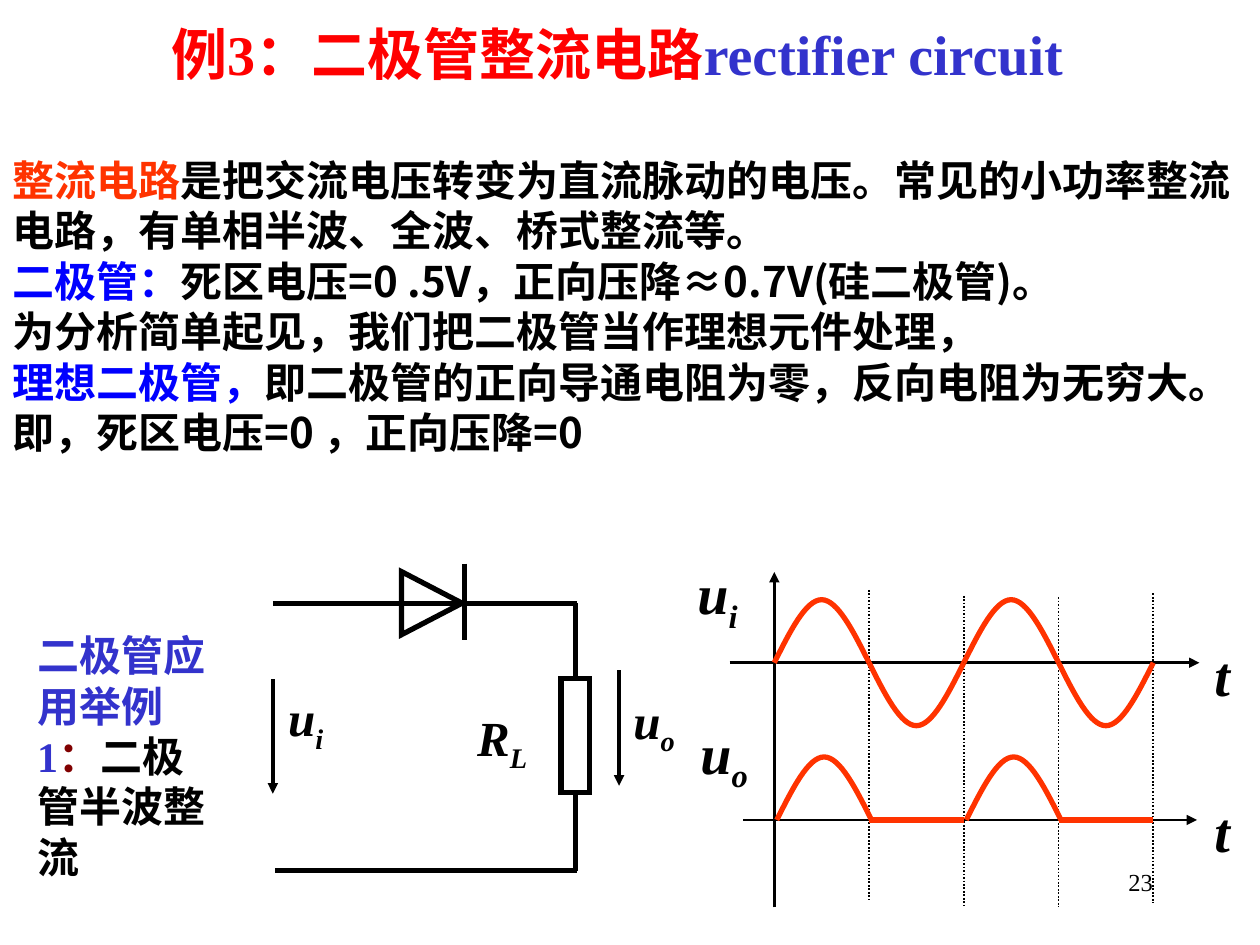
from lxml import etree
from pptx import Presentation
from pptx.dml.color import RGBColor
from pptx.enum.dml import MSO_LINE
from pptx.enum.shapes import MSO_CONNECTOR, MSO_SHAPE
from pptx.enum.text import MSO_ANCHOR, PP_ALIGN
from pptx.oxml.ns import qn
from pptx.util import Cm, Pt

STRAIGHT = MSO_CONNECTOR.STRAIGHT
TRIANGLE, RECTANGLE = MSO_SHAPE.ISOSCELES_TRIANGLE, MSO_SHAPE.RECTANGLE
DOTTED = MSO_LINE.ROUND_DOT
TOP, MIDDLE = MSO_ANCHOR.TOP, MSO_ANCHOR.MIDDLE
LEFT, CENTER, RIGHT = PP_ALIGN.LEFT, PP_ALIGN.CENTER, PP_ALIGN.RIGHT

THEME = {
    "black": "000000", "red": "FF0000", "orange": "FF3300",
    "blue": "0000FF", "violet": "3333CC", "maroon": "800000",
    "serif": "Times New Roman", "sans": "Arial", "cjk": "Noto Sans CJK SC",
    "title": 32, "body": 24, "circuit": 28, "graph": 32, "page": 14,
    "wire": 3, "arrow": 2, "axis": 1.5, "divider": 1,
}

# Text: paragraphs of (words, colour, font) runs
TITLE = [[("例3：二极管整流电路", "red", "serif"),
          ("rectifier circuit", "violet", "serif")]]
EXPLANATION = [
    [("整流电路", "orange", "serif"),
     ("是把交流电压转变为直流脉动的电压。常见的小功率整流电路，"
      "有单相半波、全波、桥式整流等。", "black", "serif")],
    [("二极管：", "blue", "cjk"), ("死区电压=0 .5V，正向压降", "black", "cjk"),
     ("≈", "black", "sans"), ("0.7V(硅二极管)。", "black", "cjk")],
    [("为分析简单起见，我们把二极管当作理想元件处理，", "black", "cjk")],
    [("理想二极管，", "blue", "cjk"),
     ("即二极管的正向导通电阻为零，反向电阻为无穷大。"
      "即，死区电压=0 ，正向压降=0", "black", "cjk")],
]
EXAMPLE = [[("二极管应用举例1", "violet", "serif"), ("：", "maroon", "serif"),
            ("二极管半波整流", "black", "serif")]]
PAGE = [[("23", "black", "serif")]]

# Symbols: letter, subscript, size, box in cm
SYMBOLS = [
    ("R", "L", "circuit", (9.37, 14.13, 2.24, 1.6)),
    ("u", "i", "circuit", (5.56, 13.74, 2.29, 1.6)),
    ("u", "o", "circuit", (12.52, 13.79, 1.98, 1.6)),
    ("u", "i", "graph", (13.81, 11.13, 1.96, 1.8)),
    ("u", "o", "graph", (13.87, 14.35, 1.75, 1.8)),
    ("t", "", "graph", (24.23, 12.78, 1.17, 1.63)),
    ("t", "", "graph", (24.23, 15.93, 1.17, 1.63)),
]

# Circuit geometry in cm
WIRE_TOP, WIRE_BOTTOM, WIRE_RIGHT = 12.16, 17.55, 11.6
DIODE = (8.07, 11.55, 1.27, 1.22)
RESISTOR = (11.31, 13.68, 0.58, 2.3)
WIRES = [
    (5.5, WIRE_TOP, 8.41, WIRE_TOP),
    (10.26, WIRE_TOP, 11.63, WIRE_TOP),
    (9.37, 11.36, 9.37, 12.9),
    (10.26, WIRE_TOP, 7.04, WIRE_TOP),
    (11.63, WIRE_BOTTOM, 5.55, WIRE_BOTTOM),
]
VOLTAGE_ARROWS = [(5.5, 13.69, 5.5, 16), (12.48, 13.51, 12.48, 15.84)]

# Graph geometry in cm
ORIGIN, HALF_PERIOD, AMPLITUDE = 15.61, 1.91, 1.27
INPUT_ZERO, OUTPUT_ZERO, OUTPUT_SHIFT = 13.36, 16.53, 0.05
AXES = [
    (ORIGIN, 18.29, ORIGIN, 11.53),
    (14.71, INPUT_ZERO, 24.18, INPUT_ZERO),
    (14.98, OUTPUT_ZERO, 24.13, OUTPUT_ZERO),
]
DIVIDER_TOPS, DIVIDER_LENGTH = [11.89, 12.01, 12.04, 11.96], 6.25
# Half wave as two Bezier curves, in sixths of its width and halves of its height
HALF_WAVE = [(0, 0), (1, 1), (2, 2), (3, 2), (4, 2), (5, 1), (6, 0)]


def color(name):
    return RGBColor.from_string(THEME[name])


def add_run(paragraph, words, tint, face, size, bold=True, italic=False):
    run = paragraph.add_run()
    run.text = words
    font = run.font
    font.size, font.bold, font.italic = Pt(THEME[size]), bold, italic
    font.color.rgb = color(tint)
    font.name = THEME[face]
    etree.SubElement(font._element, qn("a:ea"), typeface=THEME["cjk"])
    return run


def add_frame(slide, box, anchor=TOP):
    frame = slide.shapes.add_textbox(*map(Cm, box)).text_frame
    frame.word_wrap = True
    frame.vertical_anchor = anchor
    return frame


def add_text(slide, box, content, size, align=LEFT, anchor=TOP, bold=True):
    frame = add_frame(slide, box, anchor)
    for index, runs in enumerate(content):
        paragraph = frame.add_paragraph() if index else frame.paragraphs[0]
        paragraph.alignment = align
        for words, tint, face in runs:
            add_run(paragraph, words, tint, face, size, bold)


def add_symbol(slide, letter, subscript, size, box):
    paragraph = add_frame(slide, box).paragraphs[0]
    add_run(paragraph, letter, "black", "serif", size, italic=True)
    if subscript:
        lowered = add_run(paragraph, subscript, "black", "serif", size, italic=True)
        lowered.font._element.set("baseline", "-25000")


def add_line(slide, ends, width, tint="black", arrow=False):
    line = slide.shapes.add_connector(STRAIGHT, *map(Cm, ends))
    line.line.color.rgb = color(tint)
    line.line.width = Pt(THEME[width])
    if arrow:
        etree.SubElement(line.line._get_or_add_ln(), qn("a:tailEnd"), type="triangle")
    etree.SubElement(line._element.spPr, qn("a:effectLst"))
    return line


def outline(shape, tint="black"):
    shape.shadow.inherit = False
    shape.fill.background()
    shape.line.color.rgb = color(tint)
    shape.line.width = Pt(THEME["wire"])
    etree.SubElement(shape.line._get_or_add_ln(), qn("a:miter"), lim="800000")
    return shape


def add_half_wave(slide, left, zero, direction):
    points = [(Cm(left + HALF_PERIOD * x / 6), Cm(zero - direction * AMPLITUDE * y / 2))
              for x, y in HALF_WAVE]
    builder = slide.shapes.build_freeform(*points[0])
    builder.add_line_segments(points[1:], close=False)
    wave = outline(builder.convert_to_shape(), "orange")
    # Join every three segments into one Bezier curve
    segments = list(wave._element.iter(qn("a:lnTo")))
    outline_path = segments[0].getparent()
    for start in range(0, len(segments), 3):
        curve = etree.SubElement(outline_path, qn("a:cubicBezTo"))
        for segment in segments[start:start + 3]:
            curve.append(segment[0])
            outline_path.remove(segment)


def draw_circuit(slide):
    for ends in WIRES:
        add_line(slide, ends, "wire")
    diode = outline(slide.shapes.add_shape(TRIANGLE, *map(Cm, DIODE)))
    diode.rotation = 90
    resistor = outline(slide.shapes.add_shape(RECTANGLE, *map(Cm, RESISTOR)))
    for rail, side in ((WIRE_TOP, 0), (WIRE_BOTTOM, 2)):
        lead = add_line(slide, (WIRE_RIGHT, rail, WIRE_RIGHT, rail), "wire")
        lead.end_connect(resistor, side)
    for ends in VOLTAGE_ARROWS:
        add_line(slide, ends, "arrow", arrow=True)


def draw_graph(slide):
    for ends in AXES:
        add_line(slide, ends, "axis", arrow=True)
    for half, top in enumerate(DIVIDER_TOPS):
        left = ORIGIN + half * HALF_PERIOD
        right = left + HALF_PERIOD
        divider = add_line(slide, (right, top, right, top + DIVIDER_LENGTH), "divider")
        divider.line.dash_style = DOTTED
        positive = half % 2 == 0
        add_half_wave(slide, left, INPUT_ZERO, 1 if positive else -1)
        # The diode passes only the positive halves
        if positive:
            add_half_wave(slide, left + OUTPUT_SHIFT, OUTPUT_ZERO, 1)
        else:
            add_line(slide, (left, OUTPUT_ZERO, right, OUTPUT_ZERO), "wire", "orange")


def main():
    deck = Presentation()
    deck.slide_width, deck.slide_height = Cm(25.4), Cm(19.05)
    slide = deck.slides.add_slide(deck.slide_layouts[6])
    add_text(slide, (18.21, 17.35, 5.28, 1.27), PAGE, "page", RIGHT, bold=False)
    draw_circuit(slide)
    draw_graph(slide)
    for symbol in SYMBOLS:
        add_symbol(slide, *symbol)
    add_text(slide, (0.5, 12.57, 4.09, 4.32), EXAMPLE, "body")
    add_text(slide, (0, 2.99, 25.4, 6.35), EXPLANATION, "body", anchor=MIDDLE)
    add_text(slide, (0, 0, 24.89, 2.13), TITLE, "title", CENTER, MIDDLE)
    deck.save("out.pptx")


if __name__ == "__main__":
    main()
